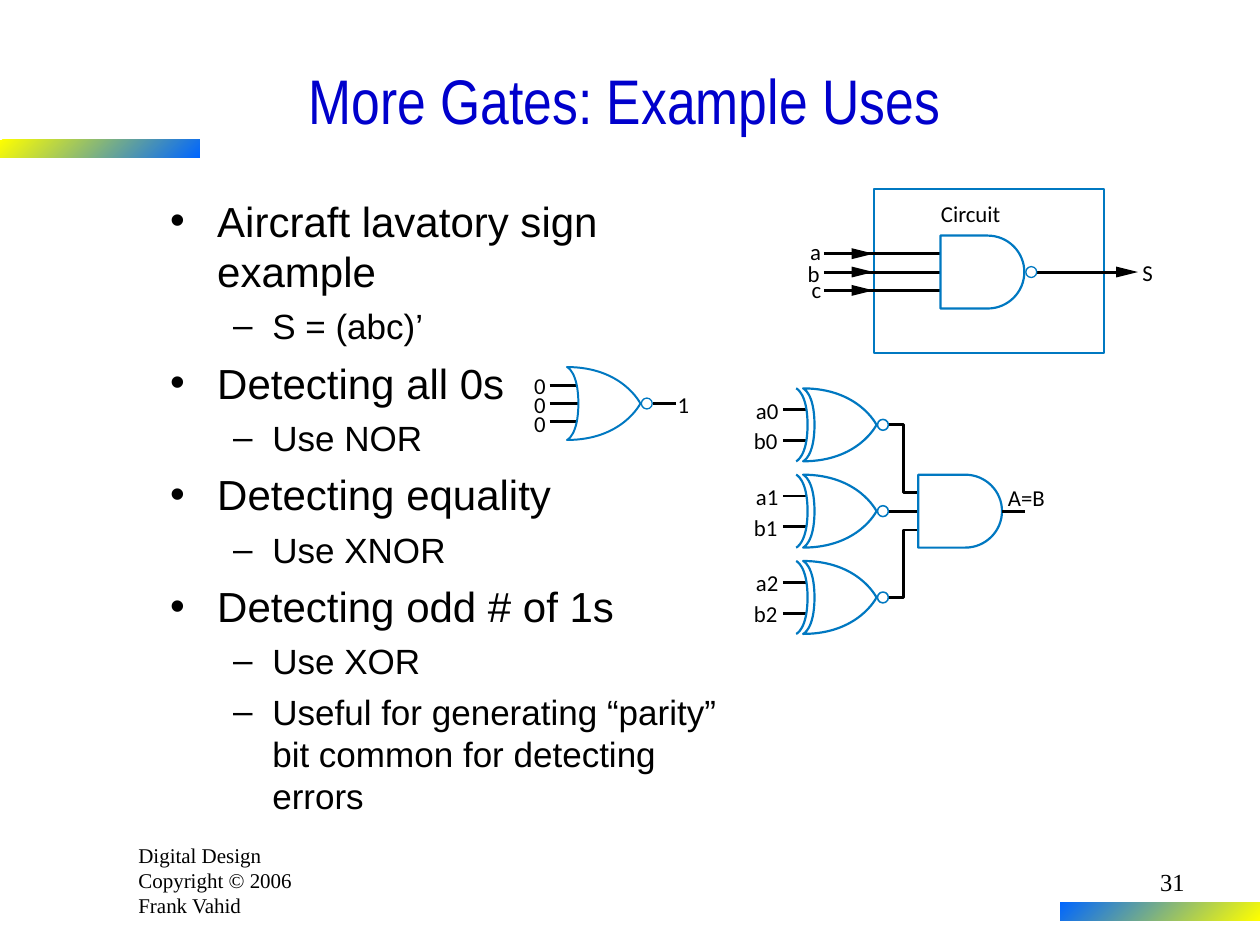
from lxml.etree import SubElement
from pptx import Presentation
from pptx.dml.color import RGBColor
from pptx.enum.shapes import MSO_CONNECTOR as Connector, MSO_SHAPE as Preset
from pptx.enum.text import MSO_ANCHOR as Anchor, PP_ALIGN as Align
from pptx.oxml.ns import qn
from pptx.util import Cm, Pt

BLACK = RGBColor(0x00, 0x00, 0x00)
WHITE = RGBColor(0xFF, 0xFF, 0xFF)
TITLE_BLUE = RGBColor(0x00, 0x00, 0xCC)
GATE_BLUE = RGBColor(0x00, 0x78, 0xC1)
YELLOW = RGBColor(0xFF, 0xFF, 0x00)
BAR_BLUE = RGBColor(0x00, 0x66, 0xFF)

GATE_HEIGHT = 1.47
MIDDLE = GATE_HEIGHT / 2
BUBBLE = 0.22

BULLETS = [
    (0, "Aircraft lavatory sign example"),
    (1, "S = (abc)’"),
    (0, "Detecting all 0s"),
    (1, "Use NOR"),
    (0, "Detecting equality"),
    (1, "Use XNOR"),
    (0, "Detecting odd # of 1s"),
    (1, "Use XOR"),
    (1, "Useful for generating “parity” bit common for detecting errors"),
]
# Per level: character, left margin, hanging indent, text size, space before
LEVELS = [("•", 0.95, 0.95, 24, 6), ("–", 2.06, 0.79, 20, 5)]


# Basic parts
def set_font(paragraph, name, size, color=BLACK):
    paragraph.font.name = name
    paragraph.font.size = Pt(size)
    paragraph.font.color.rgb = color


def add_text(shapes, box, lines):
    frame = shapes.add_textbox(*map(Cm, box)).text_frame
    frame.word_wrap = True
    frame.text = "\n".join(lines)
    return frame


def add_label(shapes, left, top, text):
    frame = add_text(shapes, (left, top, 0.25 * len(text), 0.56), [text])
    frame.word_wrap = False
    frame.margin_left = frame.margin_right = 0
    frame.margin_top = frame.margin_bottom = 0
    set_font(frame.paragraphs[0], "Calibri", 13)


def add_wire(shapes, left, right, y, width=1.62):
    wire = shapes.add_connector(Connector.STRAIGHT, Cm(left), Cm(y), Cm(right), Cm(y))
    wire.line.color.rgb = BLACK
    wire.line.width = Pt(width)
    SubElement(wire._element.spPr, qn("a:effectLst"))


def paint(shape, fill=None, line=None, width=1.25):
    shape.shadow.inherit = False
    for part, color in ((shape.fill, fill), (shape.line.fill, line)):
        if color is None:
            part.background()
        else:
            part.solid()
            part.fore_color.rgb = color
    if line is not None:
        shape.line.width = Pt(width)


def add_outline(shapes, left, top, start, segments, closed=True, **style):
    """Draw segments of one point (line) or three points (Bézier curve)."""
    def place(point):
        return Cm(left + point[0]), Cm(top + point[1])

    builder = shapes.build_freeform(*place(start))
    builder.add_line_segments([place(p) for segment in segments for p in segment], close=closed)
    shape = builder.convert_to_shape()
    strokes = iter(list(shape._element.iter(qn("a:lnTo"))))
    for segment in segments:
        first, *others = [next(strokes) for _ in segment]
        if others:
            first.tag = qn("a:cubicBezTo")
        for stroke in others:
            first.append(stroke[0])
            stroke.getparent().remove(stroke)
    paint(shape, **style)


def add_arrowhead(shapes, left, y):
    add_outline(shapes, left, y, (0.44, 0), [[(0, -0.11)], [(0, 0.11)]], fill=BLACK)


# Gates
BOTTOM = (0, GATE_HEIGHT)
TOP = (0, 0)
TIP = (1.48, MIDDLE)
OR_BACK = [
    [BOTTOM, (0.23, 1.38), (0.23, MIDDLE)],
    [(0.23, GATE_HEIGHT - 1.38), TOP, TOP],
]
OR_OUTLINE = [[TIP, (1.12, GATE_HEIGHT), BOTTOM], *OR_BACK, [(1.12, 0), TIP, TIP]]
AND_OUTLINE = [
    [(0.95, GATE_HEIGHT)],
    [(1.36, GATE_HEIGHT), (1.69, 1.14), (1.69, MIDDLE)],
    [(1.69, GATE_HEIGHT - 1.14), (1.36, 0), (0.95, 0)],
    [TOP],
]


def add_bubble(shapes, left, center_y, width):
    circle = shapes.add_shape(Preset.OVAL, Cm(left), Cm(center_y - BUBBLE / 2),
                              Cm(BUBBLE), Cm(BUBBLE))
    paint(circle, WHITE, GATE_BLUE, width)


def add_and_gate(shapes, left, top):
    add_outline(shapes, left, top, BOTTOM, AND_OUTLINE, fill=WHITE, line=GATE_BLUE)


def add_nor_gate(shapes, left, top, exclusive=False):
    add_bubble(shapes, left + 1.5, top + MIDDLE, 0.88 if exclusive else 0.75)
    add_outline(shapes, left, top, TIP, OR_OUTLINE, fill=WHITE, line=GATE_BLUE,
                width=1.25 if exclusive else 1.13)
    if exclusive:
        add_outline(shapes, left - 0.14, top, BOTTOM, OR_BACK, closed=False, line=GATE_BLUE)


# Regions
def add_bar(shapes, left, top, colors):
    bar = shapes.add_shape(Preset.RECTANGLE, Cm(left), Cm(top), Cm(4.03), Cm(0.36))
    paint(bar)
    bar.fill.gradient()
    bar.fill.gradient_angle = 315
    for stop, color, position in zip(bar.fill.gradient_stops, colors, (0, 1)):
        stop.color.rgb = color
        stop.position = position


def add_frame(shapes):
    footer = add_text(shapes, (2.54, 16.86, 4.24, 1.78),
                      ["Digital Design", "Copyright © 2006", "Frank Vahid"])
    for paragraph in footer.paragraphs:
        set_font(paragraph, "Times New Roman", 12)
    add_bar(shapes, 0, 2.82, (YELLOW, BAR_BLUE))
    add_bar(shapes, 21.37, 18.19, (BAR_BLUE, YELLOW))
    number = add_text(shapes, (18.85, 17.35, 5.28, 1.27), ["31"]).paragraphs[0]
    number.alignment = Align.RIGHT
    set_font(number, "Times New Roman", 14)
    title = add_text(shapes, (0.62, 0.84, 23.93, 2.34), ["More Gates: Example Uses"])
    title.vertical_anchor = Anchor.MIDDLE
    title.paragraphs[0].alignment = Align.CENTER
    set_font(title.paragraphs[0], "Arial Narrow", 36, TITLE_BLUE)


def add_bullets(shapes, box):
    frame = add_text(shapes, box, [text for _, text in BULLETS])
    for index, (paragraph, (level, _)) in enumerate(zip(frame.paragraphs, BULLETS)):
        character, margin, hanging, size, space = LEVELS[level]
        properties = paragraph._p.get_or_add_pPr()
        properties.set("marL", str(Cm(margin)))
        properties.set("indent", str(-Cm(hanging)))
        SubElement(properties, qn("a:buFont"), typeface="Arial")
        SubElement(properties, qn("a:buChar"), char=character)
        paragraph.level = level
        paragraph.space_before = Pt(space if index else 0)
        set_font(paragraph, "Arial", size)


def add_lavatory_circuit(shapes, left, top):
    boundary = shapes.add_shape(Preset.RECTANGLE, Cm(left + 1.34), Cm(top), Cm(4.63), Cm(3.3))
    paint(boundary, line=GATE_BLUE)
    add_label(shapes, left + 2.69, top + 0.21, "Circuit")
    output_y = top + 0.94 + MIDDLE
    inputs = [("a", 0.05, 0.99), ("b", 0, 1.42), ("c", 0.08, 1.75)]
    for row, (name, x, y) in enumerate(inputs):
        wire_y = output_y + (row - 1) * 0.37
        add_wire(shapes, left + 0.33, left + 2.69, wire_y)
        add_arrowhead(shapes, left + 0.89, wire_y)
        add_label(shapes, left + x, top + y, name)
    add_wire(shapes, left + 4.62, left + 6.33, output_y)
    add_arrowhead(shapes, left + 6.22, output_y)
    add_bubble(shapes, left + 4.4, output_y, 0.75)
    add_and_gate(shapes, left + 2.68, top + 0.94)
    add_label(shapes, left + 6.75, top + 1.4, "S")


def add_zero_detector(shapes, left, top):
    for row in range(3):
        add_wire(shapes, left + 0.31, left + 0.88, top + MIDDLE + (row - 1) * 0.36, 1.5)
        add_label(shapes, left, top + 0.1 + row * 0.38, "0")
    add_wire(shapes, left + 2.39, left + 2.85, top + MIDDLE, 1.5)
    add_nor_gate(shapes, left + 0.66, top)
    add_label(shapes, left + 2.89, top + 0.47, "1")


def add_equality_detector(shapes, left, top):
    pitch = 1.74
    and_middle = top + pitch + MIDDLE
    for bit in range(3):
        gate_top = top + bit * pitch
        for name, x, y in (("a", 0.04, 0.43), ("b", 0, 1.05)):
            add_wire(shapes, left + 0.58, left + 1.07, gate_top + y)
            add_label(shapes, left + x, gate_top + y - 0.27, f"{name}{bit}")
        # Wire from the gate to its input of the AND gate
        side = bit - 1
        if side:
            corners = [(0.32, side * pitch), (0.32, side * 0.38), (0.62, side * 0.38)]
            add_outline(shapes, left + 2.69, and_middle, (0, side * pitch),
                        [[corner] for corner in corners], closed=False, line=BLACK, width=1.62)
        else:
            add_wire(shapes, left + 2.69, left + 3.3, and_middle)
        add_nor_gate(shapes, left + 0.99, gate_top, exclusive=True)
    add_and_gate(shapes, left + 3.31, top + pitch)
    add_wire(shapes, left + 5, left + 5.47, and_middle)
    add_label(shapes, left + 5.12, top + 1.93, "A=B")


def main():
    presentation = Presentation()
    presentation.slide_width, presentation.slide_height = Cm(25.4), Cm(19.05)
    slide = presentation.slides.add_slide(presentation.slide_layouts[6])
    add_frame(slide.shapes)
    add_bullets(slide.shapes, (3.18, 3.81, 12.07, 13.54))
    add_lavatory_circuit(slide.shapes, 16.28, 3.81)
    add_zero_detector(slide.shapes.add_group_shape().shapes, 10.77, 7.4)
    add_equality_detector(slide.shapes.add_group_shape().shapes, 15.2, 7.83)
    presentation.save("out.pptx")


if __name__ == "__main__":
    main()
